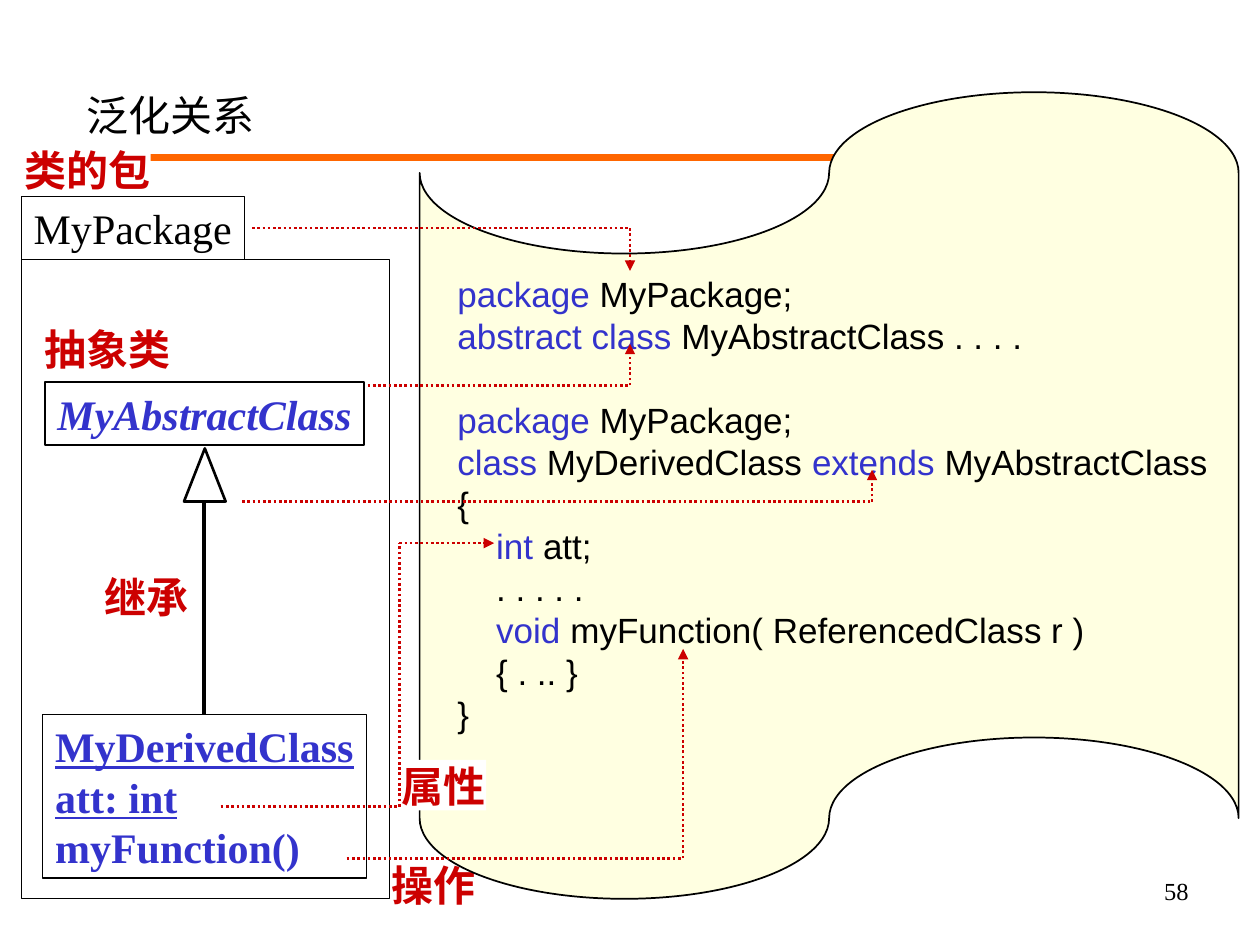
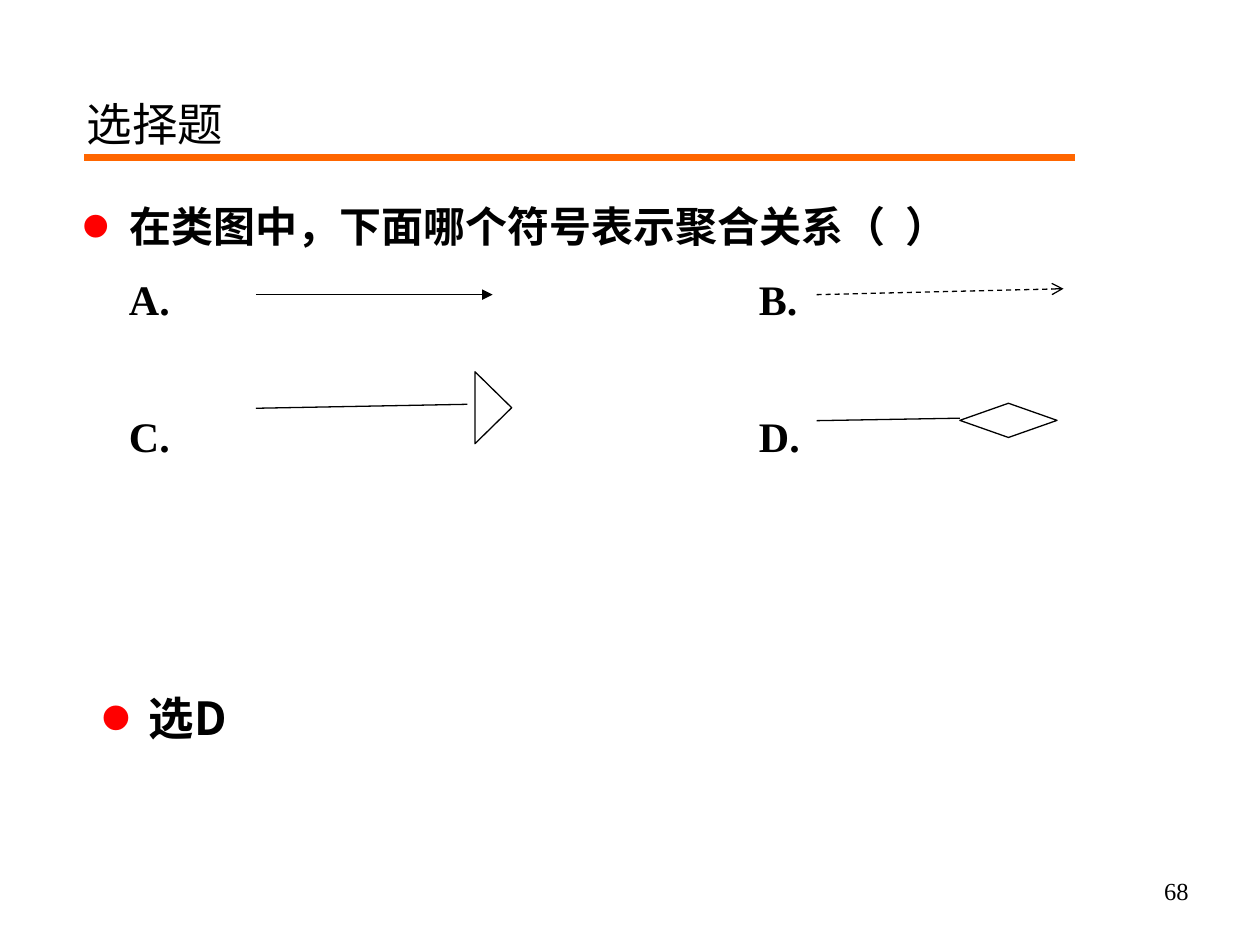
"""Build two class-diagram slides: generalization with its code, and a quiz."""
from dataclasses import dataclass
from itertools import pairwise, product

from lxml.etree import SubElement
from pptx import Presentation
from pptx.dml.color import RGBColor
from pptx.enum.dml import MSO_LINE_DASH_STYLE as Dash
from pptx.enum.shapes import MSO_CONNECTOR_TYPE as Link, MSO_SHAPE as Shape
from pptx.enum.text import MSO_ANCHOR as Anchor, PP_ALIGN as Align
from pptx.oxml.ns import qn
from pptx.util import Cm, Pt


@dataclass(frozen=True)
class Theme:
    """Colours, fonts and type sizes shared by the slides."""
    ink: str = "000000"
    paper: str = "FFFFFF"
    accent: str = "FF6600"
    callout: str = "CC0000"
    keyword: str = "3333CC"
    scroll: str = "FFFFE1"
    bullet: str = "FF0000"
    serif: str = "Times New Roman"
    sans: str = "Arial"
    label_font: str = "Montserrat"
    chinese: str = "Noto Sans CJK SC"
    text: int = 24
    large: int = 26
    code: int = 20
    number: int = 14


THEME = Theme()
INDENT = Cm(0.97)
PADDING = (0.25, 0.13, 0.25, 0.13)
NO_PADDING = (0, 0, 0, 0)


def rgb(colour):
    """Turn a hex string into a colour."""
    return RGBColor.from_string(colour)


def assign(target, values):
    """Set attributes from a dict of format values."""
    for name, value in values.items():
        setattr(target, name, value)


def add_span(para, text, colour=THEME.ink, face=THEME.serif, size=THEME.text, **style):
    """Add a formatted run to a paragraph."""
    span = para.add_run()
    span.text = text
    assign(span.font, {"name": face, "size": Pt(size), **style})
    span.font.color.rgb = rgb(colour)
    east_asian = SubElement(span.font._element, qn("a:ea"))
    east_asian.set("typeface", THEME.chinese)


def set_frame(shape, wrap=True, anchor=Anchor.TOP, padding=PADDING):
    """Set wrapping, anchor and margins, and return the text frame."""
    frame = shape.text_frame
    sides = ("margin_left", "margin_top", "margin_right", "margin_bottom")
    margins = {side: Cm(value) for side, value in zip(sides, padding)}
    assign(frame, {"word_wrap": wrap, "vertical_anchor": anchor, **margins})
    return frame


def next_para(frame, **layout):
    """Return the first unused paragraph of a frame, laid out as asked."""
    first = frame.paragraphs[0]
    para = frame.add_paragraph() if first.runs else first
    assign(para, {"alignment": Align.LEFT, **layout})
    return para


def add_text_box(page, place, **options):
    """Add a text box and return its frame."""
    return set_frame(page.shapes.add_textbox(*map(Cm, place)), **options)


def add_box(page, kind, place, fill=None, line=THEME.ink, width=0.75):
    """Add a flat preset shape with optional fill and outline."""
    box = page.shapes.add_shape(kind, *map(Cm, place))
    box.shadow.inherit = False
    if fill:
        box.fill.solid()
        box.fill.fore_color.rgb = rgb(fill)
    else:
        box.fill.background()
    if line:
        box.line.color.rgb = rgb(line)
        box.line.width = Pt(width)
    else:
        box.line.fill.background()
    return box


def add_line(page, start, end, colour=THEME.ink, width=0.75, dash=None, arrow=None):
    """Add a straight connector, with an arrowhead at its end if asked."""
    link = page.shapes.add_connector(Link.STRAIGHT, *map(Cm, (*start, *end)))
    link.line.color.rgb = rgb(colour)
    link.line.width = Pt(width)
    if dash:
        link.line.dash_style = dash
    if arrow:
        SubElement(link.line._get_or_add_ln(), qn("a:tailEnd")).set("type", arrow)
    SubElement(link._element.spPr, qn("a:effectLst"))


def add_pointer(page, *points):
    """Add a dotted callout route that ends in an arrowhead."""
    for start, end in pairwise(points):
        arrow = "triangle" if end == points[-1] else None
        add_line(page, start, end, THEME.callout, 1.5, Dash.ROUND_DOT, arrow)


def add_label(page, text, left, top):
    """Add a bold callout label as wide as its characters."""
    box = add_box(page, Shape.RECTANGLE, (left, top, 0.85 * len(text), 1.02), THEME.paper, None)
    frame = set_frame(box, wrap=False, anchor=Anchor.MIDDLE, padding=NO_PADDING)
    add_span(next_para(frame), text, THEME.callout, THEME.label_font, bold=True)


def add_class_box(page, place, lines, fill=None):
    """Add a class box from (text, colour, style) lines."""
    frame = set_frame(add_box(page, Shape.RECTANGLE, place, fill), wrap=False)
    for text, colour, style in lines:
        para = next_para(frame, line_spacing=Pt(1.2 * THEME.text))
        add_span(para, text, colour, **style)


def add_code_scroll(page, place, lines):
    """Add a scroll of code; an empty line becomes space before the next."""
    box = add_box(page, Shape.FLOWCHART_PUNCHED_TAPE, place, THEME.scroll, width=1)
    frame = set_frame(box, padding=(0.76, 0.38, 0, 0))
    pitch = Pt(1.2 * THEME.code)
    gap = Pt(0)
    for spans in lines:
        if not spans:
            gap = pitch
            continue
        para = next_para(frame, line_spacing=pitch, space_before=gap)
        gap = Pt(0)
        for text, colour in spans:
            add_span(para, text, colour, THEME.sans, THEME.code)


def add_bullet(frame, text, spacing, **style):
    """Add a bold paragraph with a large round bullet."""
    para = next_para(frame)
    layout = para._p.get_or_add_pPr()
    layout.set("marL", str(INDENT))
    layout.set("indent", str(-INDENT))
    SubElement(SubElement(layout, qn("a:buClr")), qn("a:srgbClr")).set("val", THEME.bullet)
    SubElement(layout, qn("a:buSzPct")).set("val", "200000")
    SubElement(layout, qn("a:buFont")).set("typeface", THEME.sans)
    SubElement(layout, qn("a:buChar")).set("char", "•")
    para.line_spacing = spacing
    add_span(para, text, bold=True, **style)


def add_options(page, letters, lefts, tops):
    """Add the option letters row by row on a grid."""
    for letter, (top, left) in zip(letters, product(tops, lefts)):
        frame = add_text_box(page, (left, top, 1.6, 1.24), anchor=Anchor.MIDDLE)
        add_span(next_para(frame), f"{letter}.", bold=True)


def add_page(deck, title, number, title_top, title_size):
    """Add a blank page with rule, page number and title."""
    page = deck.slides.add_slide(deck.slide_layouts[6])
    add_line(page, (1.7, 3.18), (21.67, 3.18), THEME.accent, 4)
    footer = add_text_box(page, (18.29, 17.53, 5.92, 1.12))
    add_span(next_para(footer, alignment=Align.RIGHT), number, size=THEME.number)
    heading = add_text_box(page, (1.5, title_top, 21.59, 1.47), anchor=Anchor.MIDDLE)
    add_span(next_para(heading), title, size=title_size)
    return page


def build_generalization(deck):
    """Build the class diagram beside its code."""
    page = add_page(deck, "泛化关系", "58", 1.58, THEME.text)
    ink, keyword = THEME.ink, THEME.keyword
    for text, left, top in (("操作", 7.9, 17.32), ("类的包", 0.49, 2.92),
                            ("继承", 2.11, 11.51), ("抽象类", 0.89, 6.52)):
        add_label(page, text, left, top)
    package_line = [("package ", keyword), ("MyPackage;", ink)]
    add_code_scroll(page, (8.46, 1.86, 16.51, 16.26), [
        package_line,
        [("abstract class", keyword), (" MyAbstractClass . . . .", ink)],
        [],
        package_line,
        [("class", keyword), (" MyDerivedClass ", ink),
         ("extends", keyword), (" MyAbstractClass", ink)],
        [("{", ink)],
        [("    int", keyword), (" att;", ink)],
        [("    . . . . .", ink)],
        [("    void", keyword), (" myFunction( ReferencedClass r )", ink)],
        [("    { . .. }", ink)],
        [("}", ink)],
    ])
    add_line(page, (4.11, 10.13), (4.11, 14.4), width=2.25)
    underlined = {"bold": True, "underline": True}
    add_class_box(page, (0.86, 14.4, 6.53, 3.3), [
        ("MyDerivedClass", keyword, underlined),
        ("att: int", keyword, underlined),
        ("myFunction()", keyword, {"bold": True}),
    ])
    add_box(page, Shape.RECTANGLE, (0.43, 5.23, 7.42, 12.88))
    add_class_box(page, (0.43, 3.96, 4.5, 1.27), [("MyPackage", ink, {})])
    add_pointer(page, (4.45, 16.26), (8.05, 16.26), (8.05, 10.95), (9.96, 10.95))
    add_pointer(page, (6.99, 17.3), (13.77, 17.3), (13.77, 13.08))
    add_pointer(page, (5.08, 4.6), (12.7, 4.6), (12.7, 5.46))
    add_pointer(page, (5.08, 7.77), (12.7, 7.77), (12.7, 6.93))
    add_pointer(page, (4.88, 10.11), (17.58, 10.11), (17.58, 9.47))
    add_box(page, Shape.ISOSCELES_TRIANGLE, (3.71, 9.04, 0.84, 1.07), THEME.paper, width=1.5)
    add_class_box(page, (0.91, 7.7, 6.43, 1.27),
                  [("MyAbstractClass", keyword, {"bold": True, "italic": True})], THEME.paper)
    add_label(page, "属性", 8.1, 15.32)


def build_quiz(deck):
    """Build the question with its four symbols and the answer."""
    page = add_page(deck, "选择题", "68", 1.76, THEME.large)
    question = add_text_box(page, (1.4, 3.76, 21.64, 1.64))
    add_bullet(question, "在类图中，下面哪个符号表示聚合关系（  ）", 1.15)
    add_options(page, "ABCD", lefts=(2.35, 15.05), tops=(5.4, 8.16))
    answer = add_text_box(page, (1.78, 13.5, 21.64, 4.57))
    add_bullet(answer, "选D", 1.25, face=THEME.chinese, size=THEME.large)
    add_line(page, (5.16, 5.94), (9.93, 5.94), arrow="triangle")
    add_line(page, (16.46, 5.94), (21.44, 5.82), dash=Dash.DASH, arrow="arrow")
    add_line(page, (5.16, 8.23), (9.42, 8.15))
    head = add_box(page, Shape.ISOSCELES_TRIANGLE, (9.22, 7.85, 1.45, 0.74), THEME.paper)
    head.rotation = 90
    add_line(page, (16.46, 8.48), (19.35, 8.43))
    add_box(page, Shape.FLOWCHART_DECISION, (19.35, 8.13, 1.96, 0.69), THEME.paper)


def main():
    """Build and save the deck."""
    deck = Presentation()
    assign(deck, {"slide_width": Cm(25.4), "slide_height": Cm(19.05)})
    build_generalization(deck)
    build_quiz(deck)
    deck.save("out.pptx")


if __name__ == "__main__":
    main()
